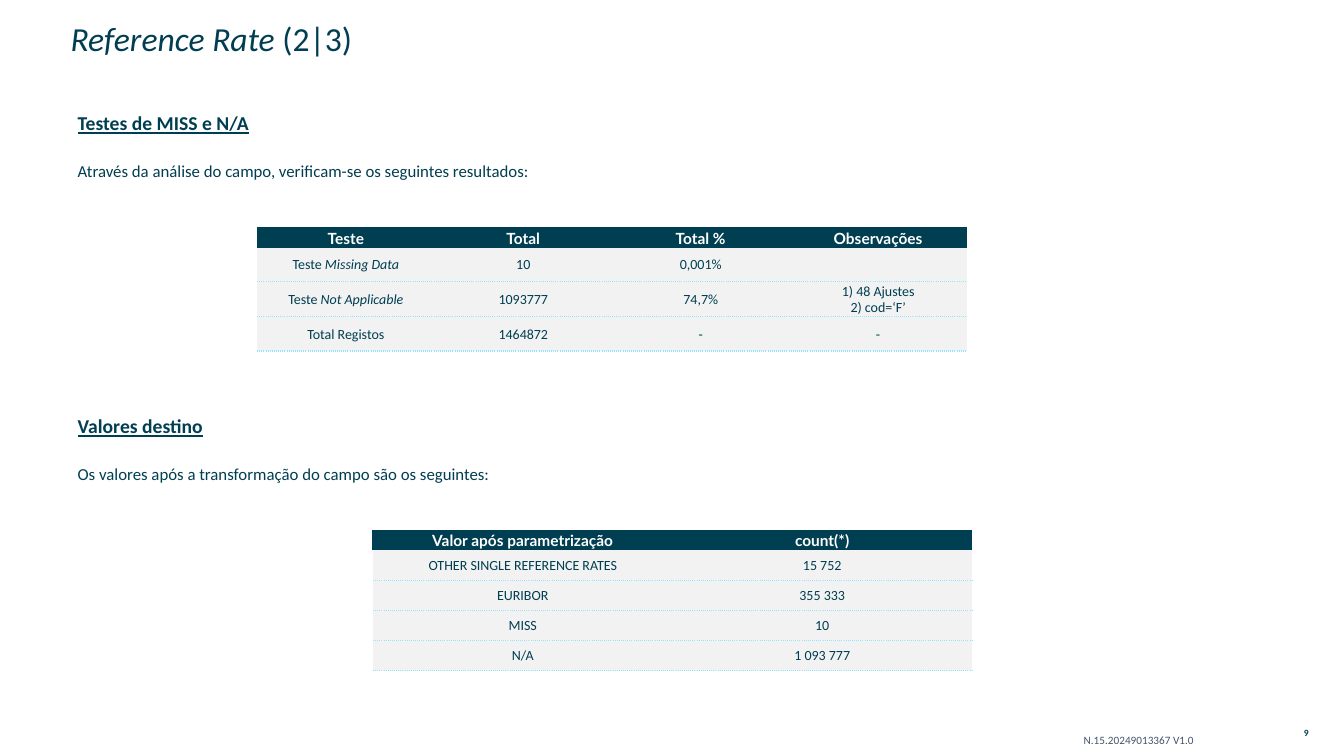
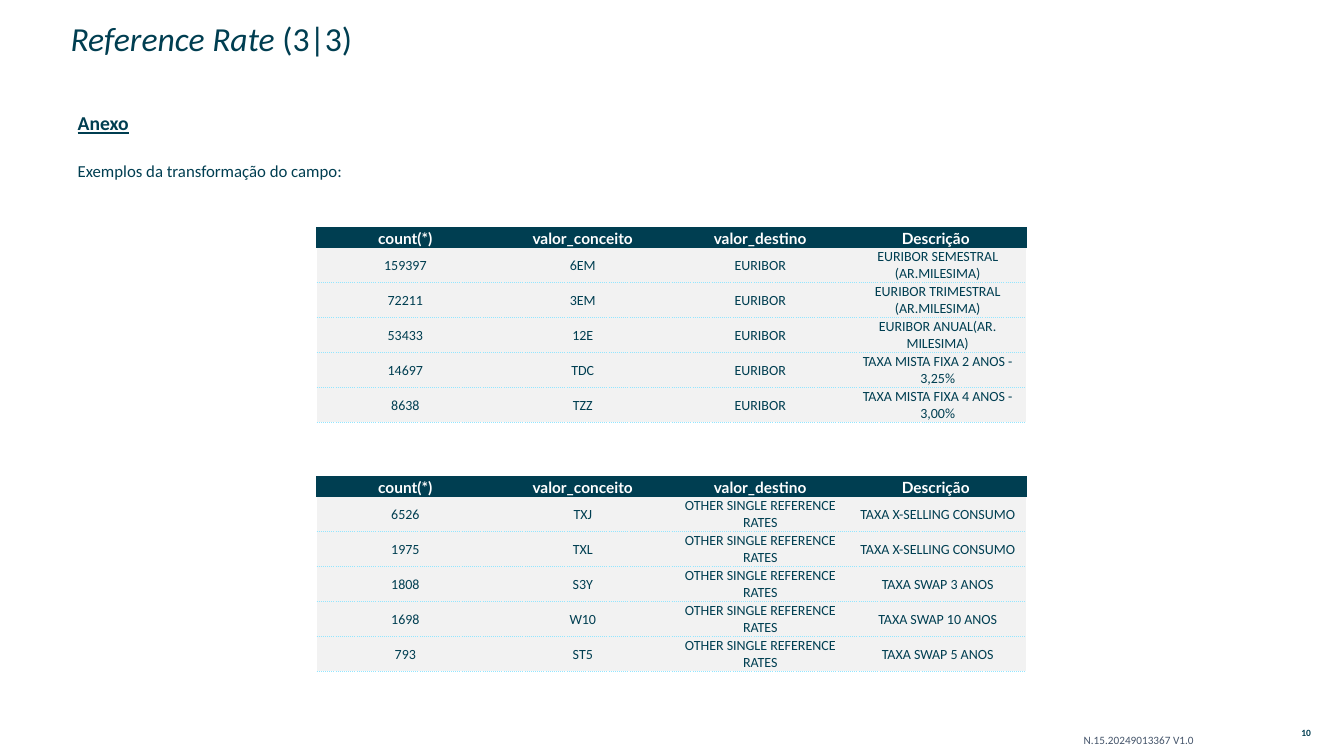
from dataclasses import dataclass
from lxml.etree import SubElement
from pptx import Presentation
from pptx.dml.color import RGBColor
from pptx.enum.text import MSO_ANCHOR, MSO_AUTO_SIZE, PP_ALIGN
from pptx.oxml import parse_xml
from pptx.oxml.ns import nsdecls, qn
from pptx.util import Pt

SCALE = 9144


def px(length):
    """Turn whole px, at 100 to the inch, into EMU."""
    return length * SCALE


@dataclass(frozen=True)
class Style:
    """Font, size, colour and weight of one kind of text."""
    size: float
    color: str
    name: str = "Calibri"
    bold: bool = False
    underline: bool = False
    align: PP_ALIGN = PP_ALIGN.LEFT
    anchor: MSO_ANCHOR = MSO_ANCHOR.MIDDLE
    spacing: float = 1.0


class Theme:
    """Colours and type styles shared by the slides."""
    DARK, SLATE, WHITE, PALE, CYAN = "003E51", "44546A", "FFFFFF", "F2F2F2", "94E6FF"
    TITLE = Style(24, DARK, spacing=0.9)
    HEAD = Style(14, DARK, bold=True, underline=True, anchor=MSO_ANCHOR.TOP)
    BODY = Style(12, DARK, anchor=MSO_ANCHOR.TOP)
    CODE = Style(8, SLATE, spacing=0.9)
    PAGE = Style(6.8, DARK, bold=True, align=PP_ALIGN.CENTER)
    LABEL = Style(11, WHITE, name="Lato", bold=True, align=PP_ALIGN.CENTER)
    CELL = Style(10, DARK, align=PP_ALIGN.CENTER)


class Deck:
    """Holds the presentation, its style and the current slide."""

    def __init__(self, theme):
        """Start an empty wide deck."""
        self.theme = theme
        self.prs = Presentation()
        self.prs.slide_width, self.prs.slide_height = px(1333), px(750)

    def slide(self, layout, title, page):
        """Add a slide with its title and footer."""
        self.page = self.prs.slides.add_slide(self.prs.slide_layouts[layout])
        self.slots = iter(list(self.page.placeholders))
        self.place(next(self.slots), (60, 27, 795, 26), title, self.theme.TITLE)
        self.note((1065, 719, 156, 32), "N.15.20249013367 V1.0", self.theme.CODE)
        self.note((1273, 719, 45, 16), page, self.theme.PAGE, (6, 3, 6, 3))

    def note(self, box, text, style, pad=(10, 5, 10, 5)):
        """Add a text box."""
        shape = self.page.shapes.add_textbox(0, 0, 0, 0)
        self.place(shape, box, text, style, pad)

    def section(self, top, head, intro):
        """Fill the next two body placeholders with a heading and its intro."""
        rows = ((top, head, self.theme.HEAD), (top + 49, intro, self.theme.BODY))
        for y, text, style in rows:
            self.place(next(self.slots), (67, y, 1215, 53), text, style)

    def place(self, shape, box, text, style, pad=(10, 5, 10, 5)):
        """Move a shape and fill it with text."""
        for key, val in zip(("left", "top", "width", "height"), box):
            setattr(shape, key, px(val))
        frame = shape.text_frame
        frame.word_wrap = True
        frame.auto_size = MSO_AUTO_SIZE.NONE
        frame.vertical_anchor = style.anchor
        self.inset(frame, pad)
        self.fill(frame, text, style)

    def inset(self, owner, pad):
        """Set the margins of a frame or cell."""
        for side, val in zip(("left", "top", "right", "bottom"), pad):
            setattr(owner, f"margin_{side}", px(val))

    def fill(self, frame, text, style):
        """Fill one paragraph, with parts between tildes in italics."""
        para = frame.paragraphs[0]
        props = para._p.get_or_add_pPr()
        for key in ("marL", "indent"):
            props.set(key, "0")
        SubElement(props, qn("a:buNone"))
        form = {"alignment": style.align, "line_spacing": style.spacing,
                "space_before": Pt(0), "space_after": Pt(0)}
        for key, val in form.items():
            setattr(para, key, val)
        for part, piece in enumerate(text.split("~")):
            for row, line in enumerate(piece.split("\n")):
                if row:
                    para.add_line_break()
                if line:
                    self.run(para, line, style, part % 2 == 1)

    def run(self, para, text, style, italic):
        """Add one formatted run."""
        run = para.add_run()
        run.text = text
        form = {"name": style.name, "size": Pt(style.size), "bold": style.bold,
                "italic": italic, "underline": style.underline}
        for key, val in form.items():
            setattr(run.font, key, val)
        run.font.color.rgb = RGBColor.from_string(style.color)

    def table(self, left, top, col, heights, rows):
        """Add a table with equal columns and a dark header row."""
        wide = len(rows[0])
        head, body = heights
        tall = head + body * (len(rows) - 1)
        grid = self.page.shapes.add_table(
            len(rows), wide, px(left), px(top), px(col * wide), px(tall)).table
        grid.first_row = grid.horz_banding = False
        for item in grid.columns:
            item.width = px(col)
        for r, row in enumerate(rows):
            grid.rows[r].height = px(body if r else head)
            for c, text in enumerate(row):
                self.cell(grid.cell(r, c), text, r)

    def cell(self, cell, text, row):
        """Fill and format one table cell."""
        theme = self.theme
        cell.vertical_anchor = MSO_ANCHOR.MIDDLE
        self.inset(cell, (1, 1, 1, 0))
        cell.fill.solid()
        cell.fill.fore_color.rgb = RGBColor.from_string(theme.PALE if row else theme.DARK)
        self.fill(cell.text_frame, text, theme.CELL if row else theme.LABEL)
        dark, dots = (theme.DARK, "solid"), (theme.CYAN, "sysDot")
        side = None if row else dark
        edges = {"L": side, "R": side, "T": dots if row > 1 else dark,
                 "B": dots if row else dark}
        props = cell._tc.get_or_add_tcPr()
        for spot, (edge, look) in enumerate(edges.items()):
            props.insert(spot, self.edge(edge, look))

    def edge(self, side, look):
        """Make the line for one side of a cell."""
        fill = "<a:noFill/>"
        if look:
            color, dash = look
            fill = (f'<a:solidFill><a:srgbClr val="{color}"/></a:solidFill>'
                    f'<a:prstDash val="{dash}"/>')
        return parse_xml(f'<a:ln{side} {nsdecls("a")} w="{Pt(1)}">{fill}</a:ln{side}>')


def main():
    """Build and save both slides."""
    deck = Deck(Theme)
    deck.slide(4, "~Reference Rate ~(2|3)", "9")
    deck.section(105, "Testes de MISS e N/A",
                 "Através da análise do campo, verificam-se os seguintes resultados:")
    deck.table(255, 226, 176, (14, 34), [
        ("Teste", "Total", "Total %", "Observações"),
        ("Teste ~Missing Data~", "10", "0,001%", ""),
        ("Teste ~Not Applicable~", "1093777", "74,7%", "1) 48 Ajustes\n2) cod=‘F’"),
        ("Total Registos", "1464872", "-", "-")])
    deck.section(406, "Valores destino",
                 "Os valores após a transformação do campo são os seguintes:")
    deck.table(370, 526, 297, (17, 30), [
        ("Valor após parametrização", "count(*)"),
        ("OTHER SINGLE REFERENCE RATES", "15 752"),
        ("EURIBOR", "355 333"),
        ("MISS", "10"),
        ("N/A", "1 093 777")])

    deck.slide(3, "~Reference Rate ~(3|3)", "10")
    deck.section(105, "Anexo", "Exemplos da transformação do campo:")
    names = ("count(*)", "valor_conceito", "valor_destino", "Descrição ")
    groups = (
        (226, "EURIBOR", (
            ("159397", "6EM", "EURIBOR SEMESTRAL (AR.MILESIMA)"),
            ("72211", "3EM", "EURIBOR TRIMESTRAL (AR.MILESIMA)"),
            ("53433", "12E", "EURIBOR ANUAL(AR. MILESIMA)"),
            ("14697", "TDC", "TAXA MISTA FIXA 2 ANOS - 3,25%"),
            ("8638", "TZZ", "TAXA MISTA FIXA 4 ANOS - 3,00%"))),
        (473, "OTHER SINGLE REFERENCE RATES", (
            ("6526", "TXJ", "TAXA X-SELLING CONSUMO"),
            ("1975", "TXL", "TAXA X-SELLING CONSUMO"),
            ("1808", "S3Y", "TAXA SWAP 3 ANOS"),
            ("1698", "W10", "TAXA SWAP 10 ANOS"),
            ("793", "ST5", "TAXA SWAP 5 ANOS"))))
    for top, rate, items in groups:
        rows = [(count, code, rate, note) for count, code, note in items]
        deck.table(314, top, 176, (16, 29), [names, *rows])
    deck.prs.save("out.pptx")


if __name__ == "__main__":
    main()
